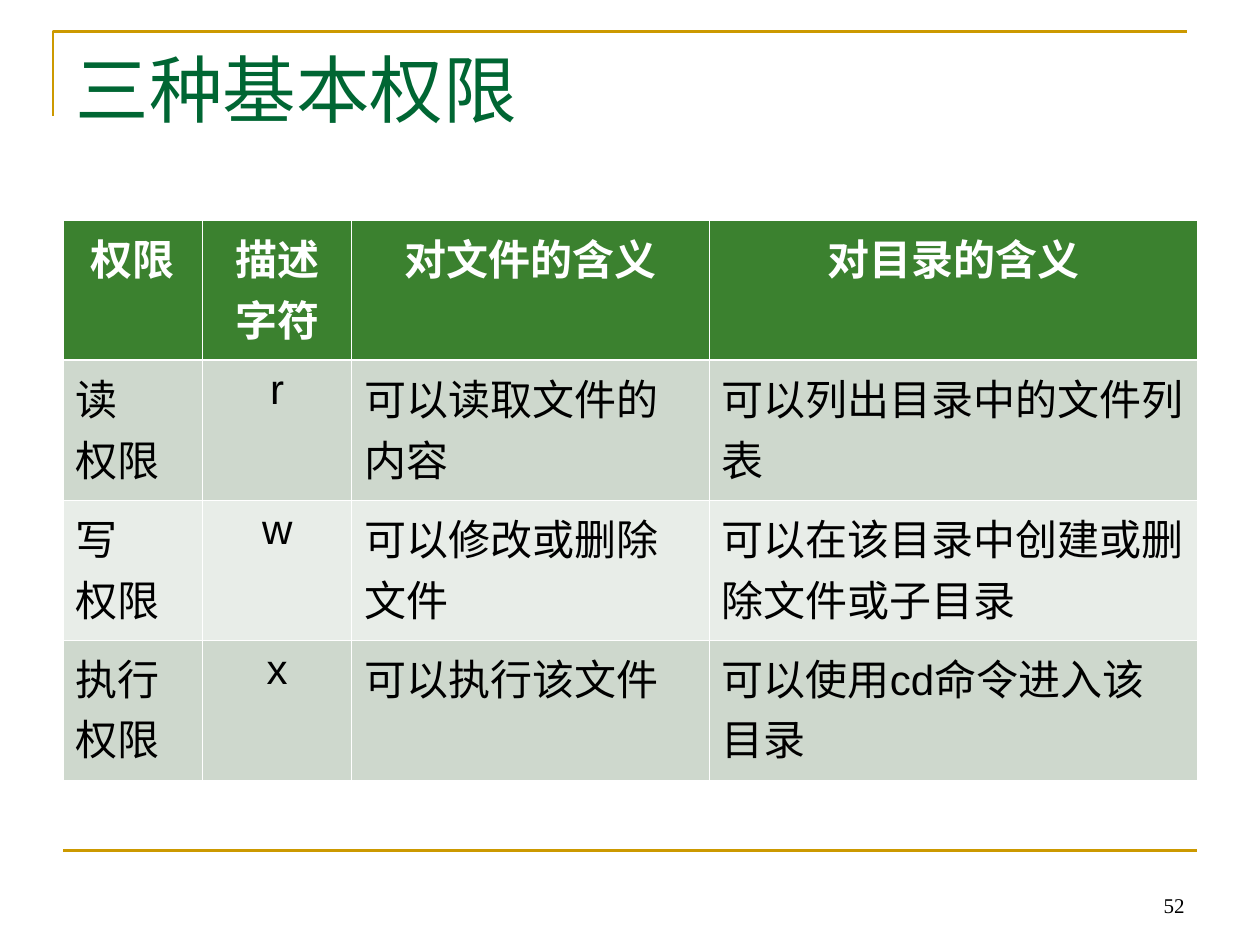
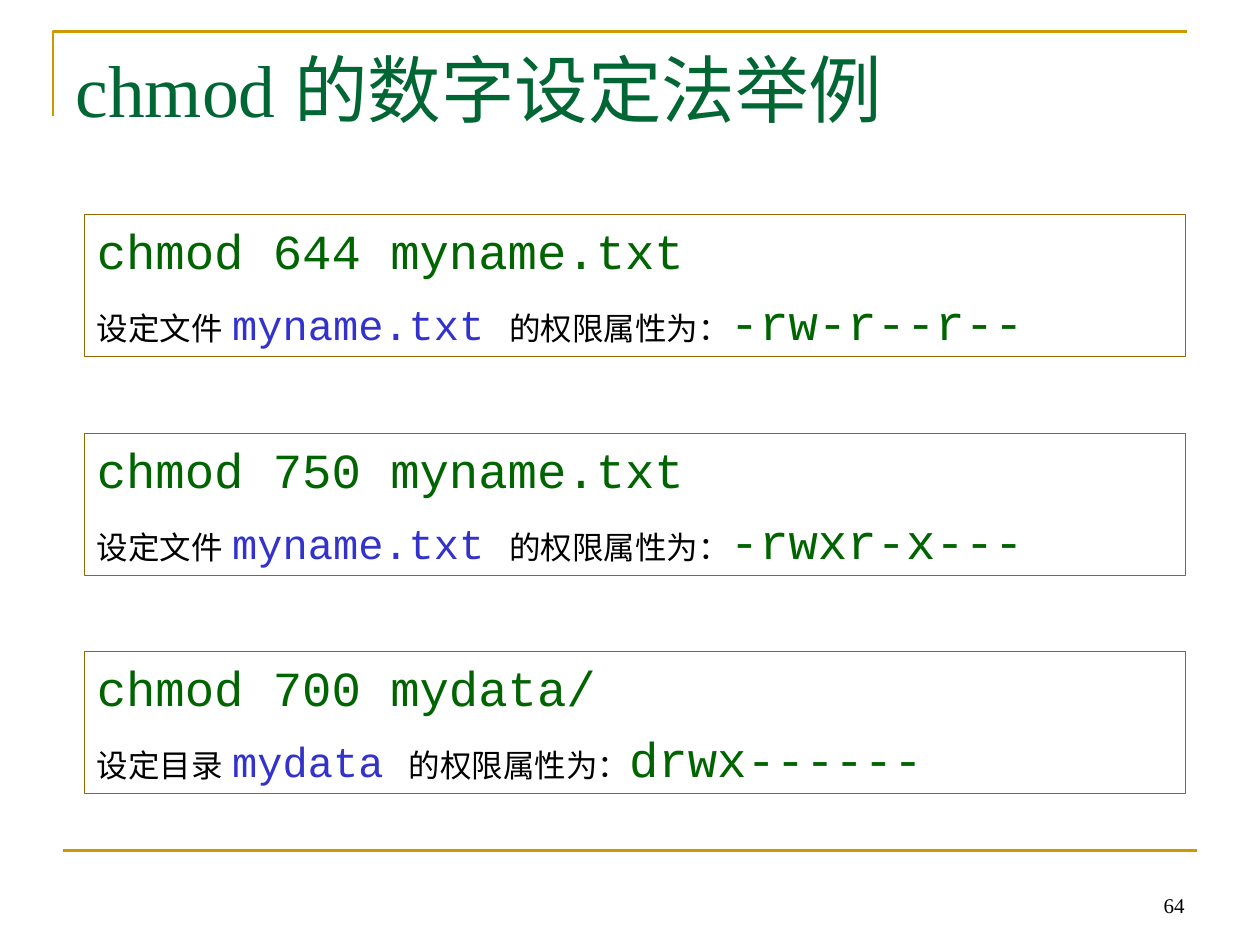
from dataclasses import dataclass

from lxml import etree
from pptx import Presentation
from pptx import util as u
from pptx.dml.color import RGBColor
from pptx.enum import shapes, text
from pptx.oxml.ns import qn

COLORS = {
    "gold": "CC9900",
    "title": "006633",
    "header": "3B812F",
    "band_dark": "CED8CD",
    "band_light": "E8EDE8",
    "white": "FFFFFF",
    "black": "000000",
    "border": "996600",
    "code": "006400",
    "name": "3333CC",
}
SERIF, SANS, MONO = "Times New Roman", "Arial", "Courier New"
THIN, THICK = 0.45, 1.47

COLUMN_WIDTHS = (1.11, 1.18, 2.84, 3.87)
ROW_HEIGHT = 1.11
CENTERED_COLUMN = 1
PERMISSIONS = (
    ("权限", "描述字符", "对文件的含义", "对目录的含义"),
    ("读\n权限", "r", "可以读取文件的内容", "可以列出目录中的文件列表"),
    ("写\n权限", "w", "可以修改或删除文件", "可以在该目录中创建或删除文件或子目录"),
    ("执行权限", "x", "可以执行该文件", "可以使用cd命令进入该目录"),
)

BOX_TOP, BOX_PITCH = 1.7, 1.735


@dataclass
class Example:
    command: str
    kind: str
    target: str
    mode: str


EXAMPLES = (
    Example("chmod 644 myname.txt", "设定文件", "myname.txt", "-rw-r--r--"),
    Example("chmod 750 myname.txt", "设定文件", "myname.txt", "-rwxr-x---"),
    Example("chmod 700 mydata/", "设定目录", "mydata", "drwx------"),
)


def rgb(name: str) -> RGBColor:
    return RGBColor.from_string(COLORS[name])


def style(r, size: float, font: str, color: str, bold: bool = False) -> None:
    r.font.size = u.Pt(size)
    r.font.name = font
    r.font.bold = bold
    r.font.color.rgb = rgb(color)


def add_run(p, words: str, size: float, font: str, color: str) -> None:
    r = p.add_run()
    r.text = words
    style(r, size, font, color)


def set_line(sp, color: str, width: float) -> None:
    sp.line.color.rgb = rgb(color)
    sp.line.width = u.Pt(width)


def add_frame(s) -> None:
    left, top = u.Inches(0.42), u.Inches(0.25)
    builder = s.shapes.build_freeform(left, u.Inches(0.92))
    builder.add_line_segments([(left, top), (u.Inches(9.42), top)], close=False)
    corner = builder.convert_to_shape()
    corner.shadow.inherit = False
    corner.fill.background()
    set_line(corner, "gold", 1.5)

    y = u.Inches(6.75)
    rule = s.shapes.add_connector(
        shapes.MSO_CONNECTOR.STRAIGHT, u.Inches(0.5), y, u.Inches(9.5), y)
    set_line(rule, "gold", 1.5)
    etree.SubElement(rule._element.spPr, qn("a:effectLst"))


def add_page_number(s, number: int) -> None:
    sp = s.shapes.add_textbox(
        u.Inches(7.17), u.Inches(6.83), u.Inches(2.33), u.Inches(0.5))
    tf = sp.text_frame
    tf.word_wrap = True
    tf.vertical_anchor = text.MSO_ANCHOR.BOTTOM
    tf.text = str(number)
    p = tf.paragraphs[0]
    p.alignment = text.PP_ALIGN.RIGHT
    style(p.runs[0], 12, SERIF, "black")


def add_slide(prs, title: str, number: int):
    s = prs.slides.add_slide(prs.slide_layouts[5])
    add_frame(s)
    sp = s.shapes.title
    sp.left, sp.top = u.Inches(0.5), u.Inches(0.3)
    sp.width, sp.height = u.Inches(9), u.Inches(1.25)
    tf = sp.text_frame
    tf.text = title
    tf.word_wrap = True
    tf.auto_size = text.MSO_AUTO_SIZE.NONE
    tf.vertical_anchor = text.MSO_ANCHOR.TOP
    p = tf.paragraphs[0]
    p.alignment = text.PP_ALIGN.LEFT
    style(p.runs[0], 42, SERIF, "title")
    add_page_number(s, number)
    return s


def set_borders(cell, top: float, bottom: float) -> None:
    tc_pr = cell._tc.get_or_add_tcPr()
    for side, width in (("L", THIN), ("R", THIN), ("T", top), ("B", bottom)):
        ln = etree.SubElement(tc_pr, qn(f"a:ln{side}"), w=str(u.Pt(width)))
        fill = etree.SubElement(ln, qn("a:solidFill"))
        etree.SubElement(fill, qn("a:srgbClr"), val=COLORS["white"])


def fill_cell(cell, words: str, row: int, col: int) -> None:
    header = row == 0
    set_borders(cell, THICK if row == 1 else THIN, THICK if header else THIN)
    cell.fill.solid()
    band = "band_dark" if row % 2 else "band_light"
    cell.fill.fore_color.rgb = rgb("header" if header else band)
    cell.text = words
    centered = header or col == CENTERED_COLUMN
    for p in cell.text_frame.paragraphs:
        p.alignment = text.PP_ALIGN.CENTER if centered else text.PP_ALIGN.LEFT
        for r in p.runs:
            style(r, 24, SANS, "white" if header else "black", header)


def add_permission_table(s) -> None:
    rows, cols = len(PERMISSIONS), len(COLUMN_WIDTHS)
    table = s.shapes.add_table(
        rows, cols, u.Inches(0.5), u.Inches(1.75),
        u.Inches(sum(COLUMN_WIDTHS)), u.Inches(rows * ROW_HEIGHT)).table
    table.first_row = table.horz_banding = False
    for column, width in zip(table.columns, COLUMN_WIDTHS):
        column.width = u.Inches(width)
    for i, values in enumerate(PERMISSIONS):
        table.rows[i].height = u.Inches(ROW_HEIGHT)
        for j, words in enumerate(values):
            fill_cell(table.cell(i, j), words, i, j)


def add_example(s, example: Example, top: float) -> None:
    sp = s.shapes.add_shape(
        shapes.MSO_SHAPE.RECTANGLE,
        u.Inches(0.67), u.Inches(top), u.Inches(8.74), u.Inches(1.13))
    sp.shadow.inherit = False
    sp.fill.background()
    set_line(sp, "border", 0.75)
    tf = sp.text_frame
    tf.word_wrap = True
    tf.auto_size = text.MSO_AUTO_SIZE.SHAPE_TO_FIT_TEXT
    tf.vertical_anchor = text.MSO_ANCHOR.TOP
    command, result = tf.paragraphs[0], tf.add_paragraph()
    for p in (command, result):
        p.alignment = text.PP_ALIGN.LEFT
        p.space_before = u.Pt(7)
    add_run(command, example.command, 28, MONO, "code")
    add_run(result, example.kind, 18, MONO, "black")
    add_run(result, " ", 24, SANS, "name")
    add_run(result, f"{example.target} ", 24, MONO, "name")
    add_run(result, "的权限属性为：", 18, MONO, "black")
    add_run(result, example.mode, 28, MONO, "code")


def main() -> None:
    prs = Presentation()
    prs.slide_width, prs.slide_height = u.Inches(10), u.Inches(7.5)

    add_permission_table(add_slide(prs, "三种基本权限", 52))

    s = add_slide(prs, "chmod 的数字设定法举例", 64)
    for i, example in enumerate(EXAMPLES):
        add_example(s, example, round(BOX_TOP + i * BOX_PITCH, 2))

    prs.save("out.pptx")


if __name__ == "__main__":
    main()
